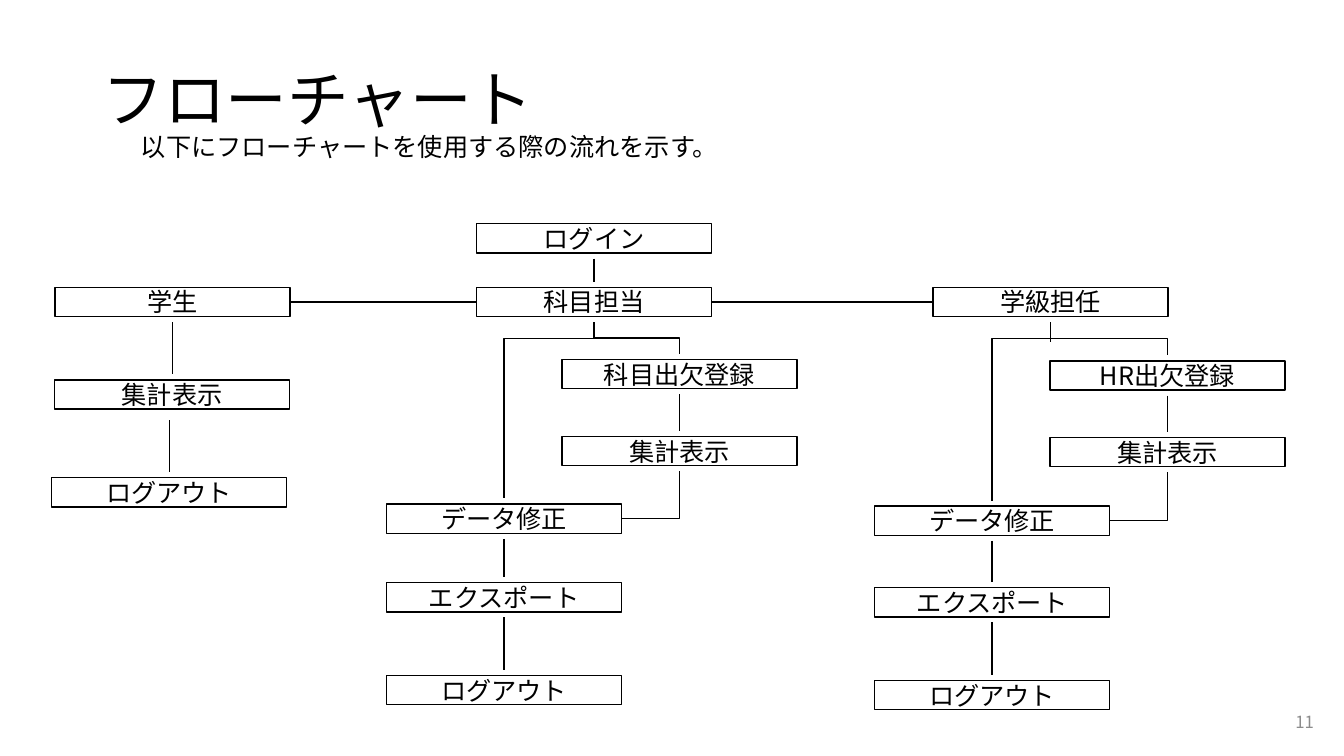
from lxml.etree import SubElement
from pptx import Presentation
from pptx.dml.color import RGBColor
from pptx.enum.shapes import MSO_CONNECTOR, MSO_SHAPE
from pptx.enum.text import MSO_ANCHOR, PP_ALIGN
from pptx.oxml.ns import qn
from pptx.util import Inches, Pt

COLORS = {"ink": "000000", "muted": "8C8C8C"}
FONT = "Noto Sans CJK JP"
WIDTH, HEIGHT = Inches(13.33), Inches(7.5)
BOX_WIDTH, BOX_HEIGHT = 17.5, 3.87
CLEARANCE = 2.67
BOX_FRAME = {"margin_left": 0, "margin_right": 0, "margin_top": 0, "margin_bottom": 0,
             "vertical_anchor": MSO_ANCHOR.MIDDLE, "word_wrap": True}
BRANCHES = [
    {"role_x": 44.2, "left": 37.51, "right": 50.56, "register": "科目出欠登録",
     "rows": (49.47, 59.67, 68.6, 79, 91.27),
     "left_start": 4.2, "left_turn": 0.03, "right_turn": 0.5},
    {"role_x": 78.17, "left": 73.82, "right": 86.87, "register": "HR出欠登録",
     "rows": (49.67, 59.8, 68.87, 79.67, 91.93),
     "left_start": 5.27, "left_turn": -0.02, "right_turn": 0.5},
]
ROLE_ROW = 39.93


def across(share):
    return int(WIDTH * share / 100)


def down(share):
    return int(HEIGHT * share / 100)


def color(name):
    return RGBColor.from_string(COLORS[name])


def write(shape, text, size, ink, paragraph_format, frame_format):
    for name, value in frame_format.items():
        setattr(shape.text_frame, name, value)
    paragraph = shape.text_frame.paragraphs[0]
    for name, value in paragraph_format.items():
        setattr(paragraph, name, value)
    run = paragraph.add_run()
    run.text = text
    for name, value in {"name": FONT, "size": Pt(size)}.items():
        setattr(run.font, name, value)
    run.font.color.rgb = color(ink)
    SubElement(run.font._element, qn("a:ea"), typeface=FONT)


def add_label(slide, area, text, size, ink="ink", anchor=MSO_ANCHOR.MIDDLE, **paragraph_format):
    left, top, width, height = area
    shape = slide.shapes.add_textbox(across(left), down(top), across(width), down(height))
    write(shape, text, size, ink, paragraph_format,
          {"word_wrap": True, "vertical_anchor": anchor})


def add_step(slide, text, x, y):
    shape = slide.shapes.add_shape(
        MSO_SHAPE.RECTANGLE, across(x - BOX_WIDTH / 2), down(y - BOX_HEIGHT / 2),
        across(BOX_WIDTH), down(BOX_HEIGHT))
    shape.shadow.inherit = False
    shape.fill.background()
    shape.line.color.rgb = color("ink")
    shape.line.width = Pt(1)
    write(shape, text, 18, "ink", {"alignment": PP_ALIGN.CENTER}, BOX_FRAME)
    return shape


def add_line(slide, kind, *ends):
    connector = slide.shapes.add_connector(kind, *(int(end) for end in ends))
    connector.line.color.rgb = color("ink")
    connector.line.width = Pt(1)
    SubElement(connector._element.spPr, qn("a:effectLst"))
    return connector


def add_drop(slide, x, upper, lower, gap=CLEARANCE):
    add_line(slide, MSO_CONNECTOR.STRAIGHT,
             across(x), down(upper + gap), across(x), down(lower - CLEARANCE))


def add_side_link(slide, left_step, right_step):
    link = add_line(slide, MSO_CONNECTOR.STRAIGHT, 0, 0, 0, 0)
    link.begin_connect(left_step, 3)
    link.end_connect(right_step, 1)


def add_elbow(slide, start, end, turn=None):
    start_x, start_y = across(start[0]), down(start[1])
    end_x, end_y = across(end[0]), down(end[1])
    middle_x, middle_y = (start_x + end_x) / 2, (start_y + end_y) / 2
    half_drop, half_shift = (end_y - start_y) / 2, (start_x - end_x) / 2
    elbow = add_line(slide, MSO_CONNECTOR.ELBOW,
                     middle_x - half_drop, middle_y - half_shift,
                     middle_x + half_drop, middle_y + half_shift)
    properties = elbow._element.spPr
    properties.find(qn("a:xfrm")).set("rot", "5400000")
    geometry = properties.find(qn("a:prstGeom"))
    if turn is None:
        geometry.set("prst", "bentConnector2")
    else:
        SubElement(geometry.find(qn("a:avLst")), qn("a:gd"),
                   name="adj1", fmla=f"val {round(turn * 100000)}")


def add_branch(slide, branch):
    register, tally, fix, export, logout = branch["rows"]
    role_x, left, right = branch["role_x"], branch["left"], branch["right"]
    for text, x, y in [(branch["register"], right, register), ("集計表示", right, tally),
                       ("データ修正", left, fix), ("エクスポート", left, export),
                       ("ログアウト", left, logout)]:
        add_step(slide, text, x, y)
    add_elbow(slide, (role_x, ROLE_ROW + CLEARANCE), (right, register - CLEARANCE),
              branch["right_turn"])
    add_elbow(slide, (role_x, ROLE_ROW + branch["left_start"]), (left, fix - CLEARANCE),
              branch["left_turn"])
    add_elbow(slide, (right, tally + CLEARANCE), (left + BOX_WIDTH / 2, fix))
    for x, upper, lower in [(right, register, tally), (left, fix, export),
                            (left, export, logout)]:
        add_drop(slide, x, upper, lower)


def add_student_flow(slide):
    add_step(slide, "集計表示", 12.8, 52.2)
    add_step(slide, "ログアウト", 12.58, 65.13)
    add_drop(slide, 12.83, ROLE_ROW, 52.2)
    add_drop(slide, 12.6, 52.2, 65.13, gap=3.4)


def main():
    presentation = Presentation()
    presentation.slide_width, presentation.slide_height = WIDTH, HEIGHT
    slide = presentation.slides.add_slide(presentation.slide_layouts[6])
    add_label(slide, (6.9, 3.87, 86.27, 19.33), "フローチャート", 44, line_spacing=0.9)
    add_label(slide, (9.75, 16.67, 48.76, 5.33), "以下にフローチャートを使用する際の流れを示す。",
              18, anchor=MSO_ANCHOR.TOP)
    add_label(slide, (75.99, 92.8, 22.51, 5.33), "11", 12, "muted", alignment=PP_ALIGN.RIGHT)
    add_step(slide, "ログイン", 44.2, 31.53)
    add_drop(slide, 44.2, 31.53, ROLE_ROW)
    student, subject, homeroom = [
        add_step(slide, text, x, ROLE_ROW)
        for text, x in [("学生", 12.83), ("科目担当", 44.2), ("学級担任", 78.17)]]
    add_side_link(slide, student, subject)
    add_side_link(slide, subject, homeroom)
    add_student_flow(slide)
    for branch in BRANCHES:
        add_branch(slide, branch)
    presentation.save("out.pptx")


if __name__ == "__main__":
    main()
